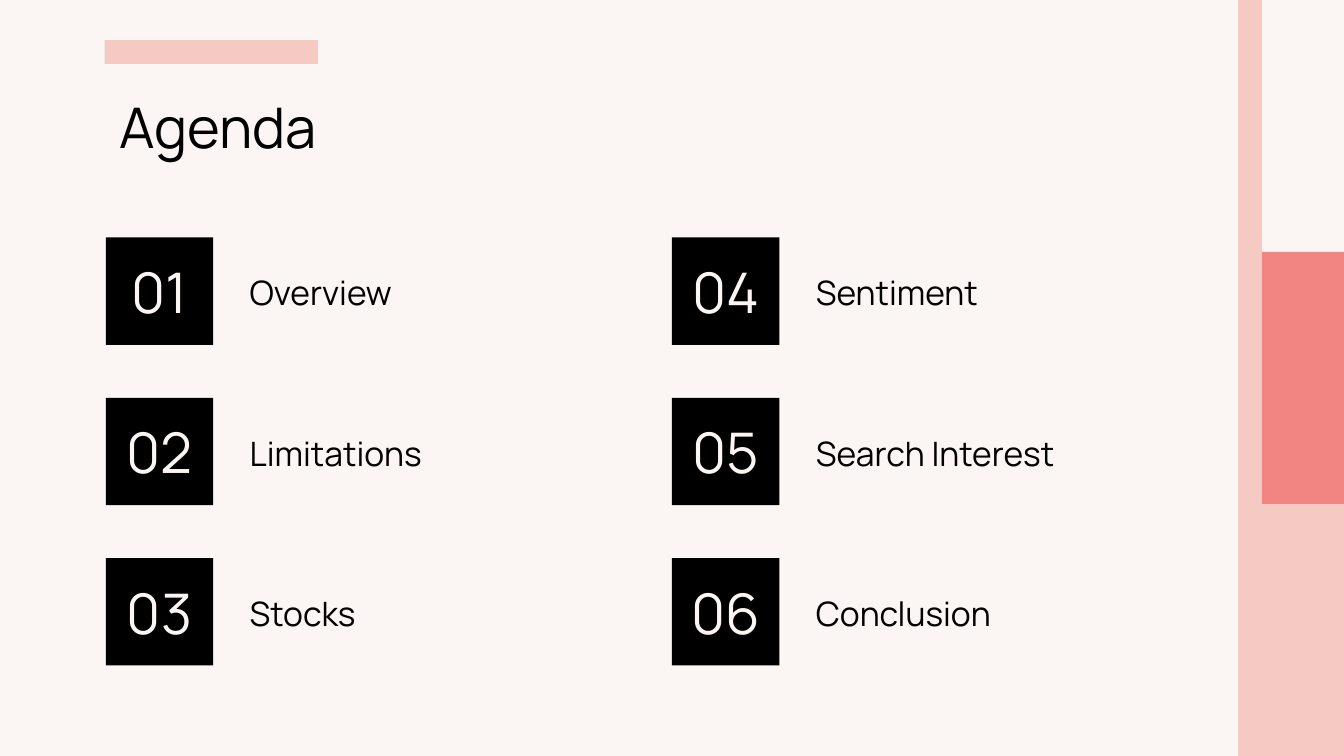
from pptx import Presentation
from pptx.dml.color import RGBColor
from pptx.enum.shapes import MSO_SHAPE
from pptx.enum.text import MSO_ANCHOR, PP_ALIGN
from pptx.util import Cm, Pt

BLACK, CREAM = "000000", "FBF5F3"
BLUSH, CORAL = "F5CAC3", "F28482"
WIDTH, HEIGHT = 25.4, 14.29


def color(hex_value):
    return RGBColor.from_string(hex_value)


class AgendaSlide:
    """Holds the style and the current slide; lengths are in centimetres."""

    font = "Manrope"
    inset = Cm(0.25)

    def __init__(self, presentation):
        self.slide = presentation.slides.add_slide(presentation.slide_layouts[6])
        background = self.slide.background.fill
        background.solid()
        background.fore_color.rgb = color(CREAM)

    def block(self, left, top, width, height, fill):
        shape = self.slide.shapes.add_shape(
            MSO_SHAPE.RECTANGLE, Cm(left), Cm(top), Cm(width), Cm(height))
        shape.shadow.inherit = False
        shape.fill.solid()
        shape.fill.fore_color.rgb = color(fill)
        shape.line.fill.background()
        return shape

    def set_text(self, shape, text, size, ink, align=PP_ALIGN.LEFT, anchor=MSO_ANCHOR.TOP):
        frame = shape.text_frame
        frame.text = text
        frame.word_wrap = True
        frame.vertical_anchor = anchor
        frame.margin_left = frame.margin_right = self.inset
        frame.margin_top = frame.margin_bottom = self.inset
        paragraph = frame.paragraphs[0]
        paragraph.alignment = align
        for run in paragraph.runs:
            run.font.name = self.font
            run.font.size = Pt(size)
            run.font.color.rgb = color(ink)

    def label(self, left, top, width, height, text, size):
        shape = self.slide.shapes.add_textbox(Cm(left), Cm(top), Cm(width), Cm(height))
        self.set_text(shape, text, size, BLACK)

    def number(self, left, top, side, text):
        shape = self.block(left, top, side, side, BLACK)
        self.set_text(shape, text, 30, CREAM, PP_ALIGN.CENTER, MSO_ANCHOR.MIDDLE)


def main():
    presentation = Presentation()
    presentation.slide_width = Cm(WIDTH)
    presentation.slide_height = Cm(HEIGHT)
    agenda = AgendaSlide(presentation)

    # Side decoration: a thin full-height strip and two thirds of a wide column
    column_left, strip_width, third = 23.85, 0.45, HEIGHT / 3
    for row, fill in enumerate((CORAL, BLUSH), start=1):
        agenda.block(column_left, row * third, WIDTH - column_left, third, fill)
    agenda.block(column_left - strip_width, 0, strip_width, HEIGHT, BLUSH)

    # Title under its accent bar
    agenda.block(1.98, 0.76, 4.03, 0.45, BLUSH)
    agenda.label(2, 1.5, 21.4, 1.6, "Agenda", 30)

    # Numbered topics, filled column by column
    topics = ("Overview", "Limitations", "Stocks",
              "Sentiment", "Search Interest", "Conclusion")
    rows = 3
    for index, topic in enumerate(topics):
        column, row = divmod(index, rows)
        left = 2 + column * 10.7
        top = 4.49 + row * 3.03
        agenda.number(left, top, 2.03, f"{index + 1:02d}")
        agenda.label(left + 2.47, top + 0.41, 7.04, 1.22, topic, 18)

    presentation.save("out.pptx")


if __name__ == "__main__":
    main()
